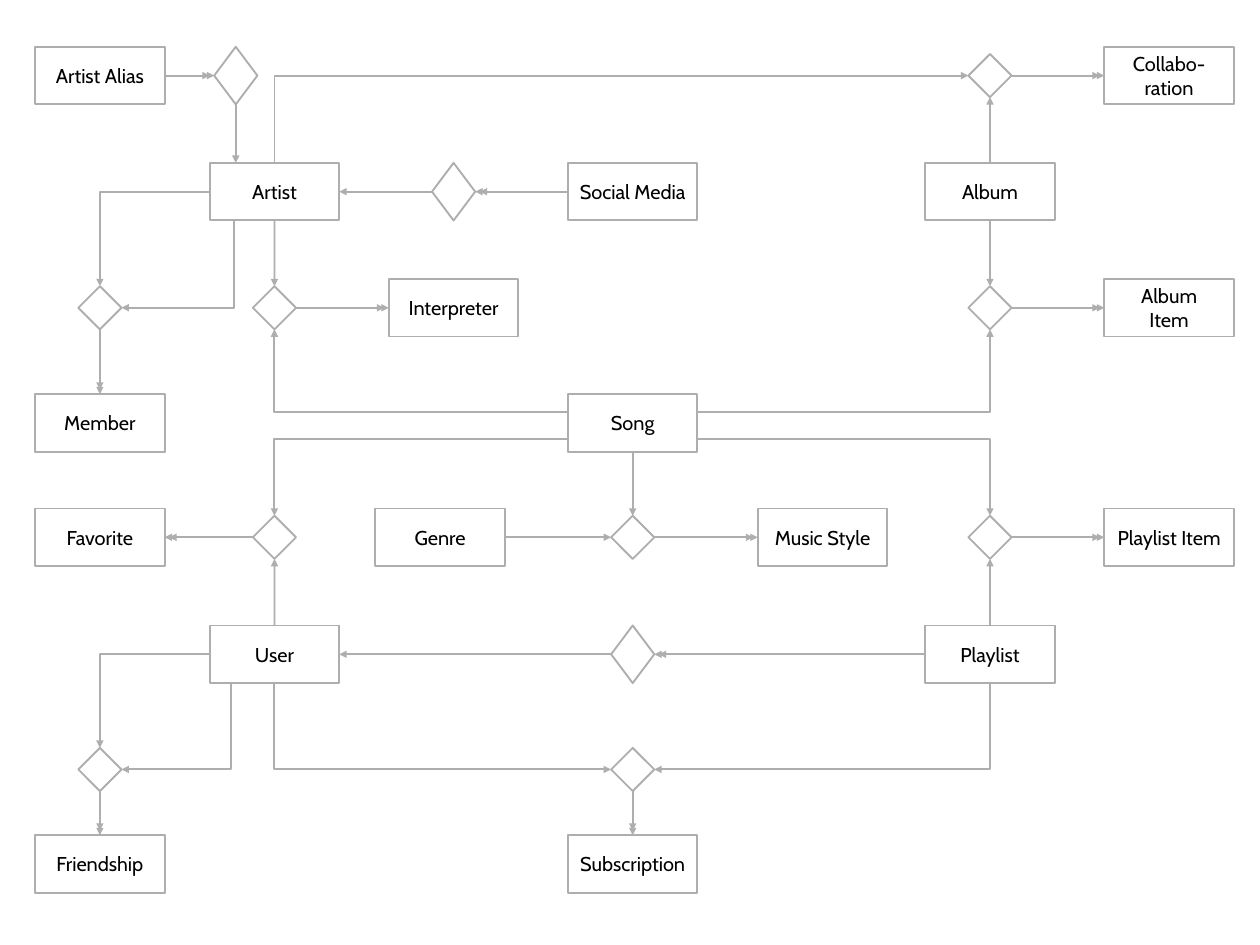
import pptx
import pptx.dml.color
import pptx.enum.shapes
import pptx.enum.text
import pptx.oxml.ns
import pptx.oxml.xmlchemy
import pptx.util
from pptx.util import Inches

GREY = pptx.dml.color.RGBColor(0xAE, 0xAE, 0xAE)
BLACK = pptx.dml.color.RGBColor(0x00, 0x00, 0x00)
SHAPE = pptx.enum.shapes.MSO_SHAPE
STRAIGHT = pptx.enum.shapes.MSO_CONNECTOR.STRAIGHT
ELBOW = pptx.enum.shapes.MSO_CONNECTOR.ELBOW
TOP, LEFT, BOTTOM, RIGHT = range(4)

LINE_FORMAT = {"width": pptx.util.Pt(1.5)}
FRAME_FORMAT = {"word_wrap": True, "vertical_anchor": pptx.enum.text.MSO_ANCHOR.MIDDLE}
FONT_FORMAT = {"name": "Cabin", "size": pptx.util.Pt(16)}

BOX_WIDTH, BOX_HEIGHT = 1.44, 0.64
DIAMOND_WIDTH = 0.48
ARROW_GAP = Inches(0.05)

# Centres of the columns and rows of the diagram
MEMBER_X, ARTIST_X, SONG_X, ALBUM_X, ITEM_X = 1.11, 3.05, 7.03, 11, 12.99
ALIAS_Y, ARTIST_Y, ITEM_Y, SONG_Y = 0.84, 2.13, 3.42, 4.7
GENRE_Y, USER_Y, SUBSCRIPTION_Y, BOTTOM_Y = 5.97, 7.27, 8.55, 9.6
ALIAS_X = 2.62

ENTITIES = {
    "Artist Alias": (MEMBER_X, ALIAS_Y),
    "Collabo-ration": (ITEM_X, ALIAS_Y),
    "Artist": (ARTIST_X, ARTIST_Y),
    "Social Media": (SONG_X, ARTIST_Y),
    "Album": (ALBUM_X, ARTIST_Y),
    "Interpreter": (5.04, ITEM_Y),
    "Album\nItem": (ITEM_X, ITEM_Y),
    "Member": (MEMBER_X, SONG_Y),
    "Song": (SONG_X, SONG_Y),
    "Favorite": (MEMBER_X, GENRE_Y),
    "Genre": (4.89, GENRE_Y),
    "Music Style": (9.14, GENRE_Y),
    "Playlist Item": (ITEM_X, GENRE_Y),
    "User": (ARTIST_X, USER_Y),
    "Playlist": (ALBUM_X, USER_Y),
    "Friendship": (MEMBER_X, BOTTOM_Y),
    "Subscription": (SONG_X, BOTTOM_Y),
}

# Relation: centre x, centre y, height of the diamond
RELATIONS = {
    "has alias": (ALIAS_X, ALIAS_Y, 0.64),
    "collaborates": (ALBUM_X, ALIAS_Y, 0.48),
    "has account": (5.04, ARTIST_Y, 0.64),
    "is member": (MEMBER_X, ITEM_Y, 0.48),
    "interprets": (ARTIST_X, ITEM_Y, 0.48),
    "on album": (ALBUM_X, ITEM_Y, 0.48),
    "likes": (ARTIST_X, GENRE_Y, 0.48),
    "has style": (SONG_X, GENRE_Y, 0.48),
    "on playlist": (ALBUM_X, GENRE_Y, 0.48),
    "owns": (SONG_X, USER_Y, 0.64),
    "is friend": (MEMBER_X, SUBSCRIPTION_Y, 0.48),
    "subscribes": (SONG_X, SUBSCRIPTION_Y, 0.48),
}

SINGLE_ARROWS = [
    (("has alias", BOTTOM), (ALIAS_X, ARTIST_Y - BOX_HEIGHT / 2)),
    (("has account", LEFT), ("Artist", RIGHT)),
    (("Artist", BOTTOM), ("interprets", TOP)),
    (("Album", TOP), ("collaborates", BOTTOM)),
    (("Album", BOTTOM), ("on album", TOP)),
    (("Song", BOTTOM), ("has style", TOP)),
    (("Genre", RIGHT), ("has style", LEFT)),
    (("User", TOP), ("likes", BOTTOM)),
    (("Playlist", TOP), ("on playlist", BOTTOM)),
    (("owns", LEFT), ("User", RIGHT)),
]
DOUBLE_ARROWS = [
    (("Artist Alias", RIGHT), ("has alias", LEFT)),
    (("collaborates", RIGHT), ("Collabo-ration", LEFT)),
    (("Social Media", LEFT), ("has account", RIGHT)),
    (("interprets", RIGHT), ("Interpreter", LEFT)),
    (("on album", RIGHT), ("Album\nItem", LEFT)),
    (("is member", BOTTOM), ("Member", TOP)),
    (("likes", LEFT), ("Favorite", RIGHT)),
    (("has style", RIGHT), ("Music Style", LEFT)),
    (("on playlist", RIGHT), ("Playlist Item", LEFT)),
    (("Playlist", LEFT), ("owns", RIGHT)),
    (("is friend", BOTTOM), ("Friendship", TOP)),
    (("subscribes", BOTTOM), ("Subscription", TOP)),
]
# Elbows run sideways first, then up or down
SONG_LEFT, SONG_RIGHT = SONG_X - BOX_WIDTH / 2, SONG_X + BOX_WIDTH / 2
ELBOWS_INTO_END = [
    (("Artist", LEFT), ("is member", TOP)),
    (("User", LEFT), ("is friend", TOP)),
    ((SONG_LEFT, 4.58), ("interprets", BOTTOM)),
    ((SONG_RIGHT, 4.58), ("on album", BOTTOM)),
    ((SONG_LEFT, 4.88), ("likes", TOP)),
    ((SONG_RIGHT, 4.88), ("on playlist", TOP)),
]
ELBOWS_INTO_START = [
    (("collaborates", LEFT), ("Artist", TOP)),
    (("is member", RIGHT), (2.6, ARTIST_Y + BOX_HEIGHT / 2)),
    (("is friend", RIGHT), (2.57, USER_Y + BOX_HEIGHT / 2)),
    (("subscribes", LEFT), ("User", BOTTOM)),
    (("subscribes", RIGHT), ("Playlist", BOTTOM)),
]

deck = pptx.Presentation()
deck.slide_width, deck.slide_height = Inches(14), Inches(10.5)
page = deck.slides.add_slide(deck.slide_layouts[6])
nodes = {}


def add_node(name, kind, x, y, width, height):
    """Add an outlined shape centred on x, y."""
    node = page.shapes.add_shape(kind, Inches(x - width / 2), Inches(y - height / 2),
                                 Inches(width), Inches(height))
    node.shadow.inherit = False
    node.fill.background()
    node.line.color.rgb = GREY
    for key, value in LINE_FORMAT.items():
        setattr(node.line, key, value)
    nodes[name] = node
    return node


def add_arrow(kind, start, end, arrow_tag="a:tailEnd"):
    """Join two ends, each either (node name, side) or (x, y)."""
    arrow = page.shapes.add_connector(kind, 0, 0, 0, 0)
    if start[0] in nodes:
        arrow.begin_connect(nodes[start[0]], start[1])
    else:
        arrow.begin_x, arrow.begin_y = map(Inches, start)
    if end[0] in nodes:
        arrow.end_connect(nodes[end[0]], end[1])
    else:
        arrow.end_x, arrow.end_y = map(Inches, end)
    arrow.line.color.rgb = GREY
    for key, value in LINE_FORMAT.items():
        setattr(arrow.line, key, value)
    properties = arrow.element.spPr
    head = pptx.oxml.xmlchemy.OxmlElement(arrow_tag)
    head.set("type", "triangle")
    properties.find(pptx.oxml.ns.qn("a:ln")).append(head)
    properties.append(pptx.oxml.xmlchemy.OxmlElement("a:effectLst"))
    if kind == ELBOW:
        properties.find(pptx.oxml.ns.qn("a:prstGeom")).set("prst", "bentConnector2")
    return arrow


for name, (x, y) in ENTITIES.items():
    box = add_node(name, SHAPE.RECTANGLE, x, y, BOX_WIDTH, BOX_HEIGHT)
    frame = box.text_frame
    frame.text = name
    for key, value in FRAME_FORMAT.items():
        setattr(frame, key, value)
    for para in frame.paragraphs:
        para.alignment = pptx.enum.text.PP_ALIGN.CENTER
        for span in para.runs:
            span.font.color.rgb = BLACK
            for key, value in FONT_FORMAT.items():
                setattr(span.font, key, value)

for name, (x, y, height) in RELATIONS.items():
    add_node(name, SHAPE.DIAMOND, x, y, DIAMOND_WIDTH, height)

for start, end in SINGLE_ARROWS:
    add_arrow(STRAIGHT, start, end)

for start, end in DOUBLE_ARROWS:
    outer = add_arrow(STRAIGHT, start, end)
    # A shorter arrow on the same line gives the second arrowhead
    step_x, step_y = {TOP: (0, -1), LEFT: (-1, 0), RIGHT: (1, 0)}[end[1]]
    inner_end = (outer.end_x + step_x * ARROW_GAP, outer.end_y + step_y * ARROW_GAP)
    add_arrow(STRAIGHT, start, [value / Inches(1) for value in inner_end])

for start, end in ELBOWS_INTO_END:
    add_arrow(ELBOW, start, end)

for start, end in ELBOWS_INTO_START:
    add_arrow(ELBOW, start, end, "a:headEnd")

deck.save("out.pptx")
